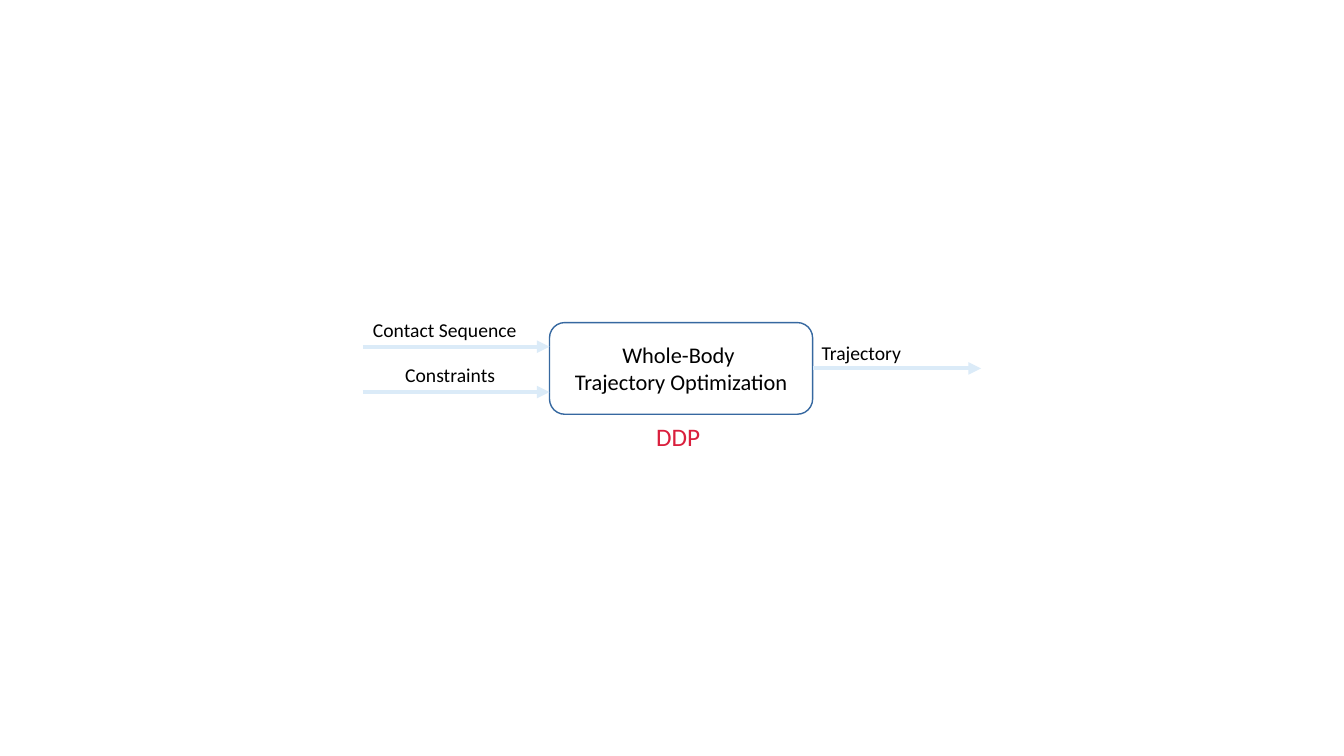
from dataclasses import dataclass
from pptx import Presentation
from pptx.dml.color import RGBColor as RGB
from pptx.enum.shapes import MSO_CONNECTOR as Link, MSO_SHAPE as Shape
from pptx.enum.text import MSO_ANCHOR as Anchor, PP_ALIGN as Align
from pptx.oxml.ns import qn
from pptx.util import Inches, Pt
from lxml.etree import SubElement


@dataclass(frozen=True)
class Theme:
    font: str = "Calibri"
    ink: RGB = RGB(0, 0, 0)
    paper: RGB = RGB(0xFF, 0xFF, 0xFF)
    edge: RGB = RGB(0x36, 0x68, 0xA0)
    flow: RGB = RGB(0xDB, 0xEB, 0xF8)
    accent: RGB = RGB(0xDA, 0x1F, 0x3D)
    label: int = 14
    body: int = 16
    method: int = 18


THEME = Theme()


def style(frame, size, color):
    for para in frame.paragraphs:
        for run in para.runs:
            run.font.name = THEME.font
            run.font.size = Pt(size)
            run.font.color.rgb = color


def add_label(slide, text, left, top, width, height=0.34,
              size=THEME.label, color=THEME.ink):
    box = slide.shapes.add_textbox(
        Inches(left), Inches(top), Inches(width), Inches(height))
    frame = box.text_frame
    frame.word_wrap = True
    frame.text = text
    style(frame, size, color)


def add_arrow(slide, start, end, y):
    arrow = slide.shapes.add_connector(
        Link.STRAIGHT, Inches(start), Inches(y), Inches(end), Inches(y))
    arrow.line.color.rgb = THEME.flow
    arrow.line.width = Pt(3)
    line = arrow.line._get_or_add_ln()
    SubElement(line, qn("a:tailEnd"), type="triangle")
    SubElement(arrow._element.spPr, qn("a:effectLst"))
    return arrow


def add_block(slide, left, top, width, height):
    block = slide.shapes.add_shape(
        Shape.ROUNDED_RECTANGLE,
        Inches(left), Inches(top), Inches(width), Inches(height))
    block.shadow.inherit = False
    block.fill.solid()
    block.fill.fore_color.rgb = THEME.paper
    block.line.color.rgb = THEME.edge
    block.line.width = Pt(1)
    frame = block.text_frame
    frame.vertical_anchor = Anchor.MIDDLE
    frame.text = "Whole-Body \nTrajectory Optimization"
    for para in frame.paragraphs:
        para.alignment = Align.CENTER
    style(frame, THEME.body, THEME.ink)
    return block


def add_flow(slide, left, top, width, height):
    """Place the optimizer with its inputs, output and method around the box."""
    right = left + width
    middle = top + height / 2
    block = add_block(slide, left, top, width, height)

    inputs = [("Contact Sequence", 1.85, 1.81), ("Constraints", 1.53, 1.19)]
    for row, (text, inset, wide) in enumerate(inputs):
        y = top + 0.24 + row * 0.45
        add_arrow(slide, left - 1.85, left, y)
        add_label(slide, text, left - inset, y - 0.34, wide)

    output = add_arrow(slide, right, right + 1.67, middle)
    output.begin_connect(block, 3)
    add_label(slide, "Trajectory", right - 0.01, middle - 0.32, 1.06)
    add_label(slide, "DDP", left + 0.96, top + height + 0.02, 0.73, 0.4,
              THEME.method, THEME.accent)


def main():
    deck = Presentation()
    deck.slide_width = Inches(13.33)
    deck.slide_height = Inches(7.5)
    slide = deck.slides.add_slide(deck.slide_layouts[6])
    add_flow(slide, 5.45, 3.2, 2.61, 0.91)
    deck.save("out.pptx")


if __name__ == "__main__":
    main()
